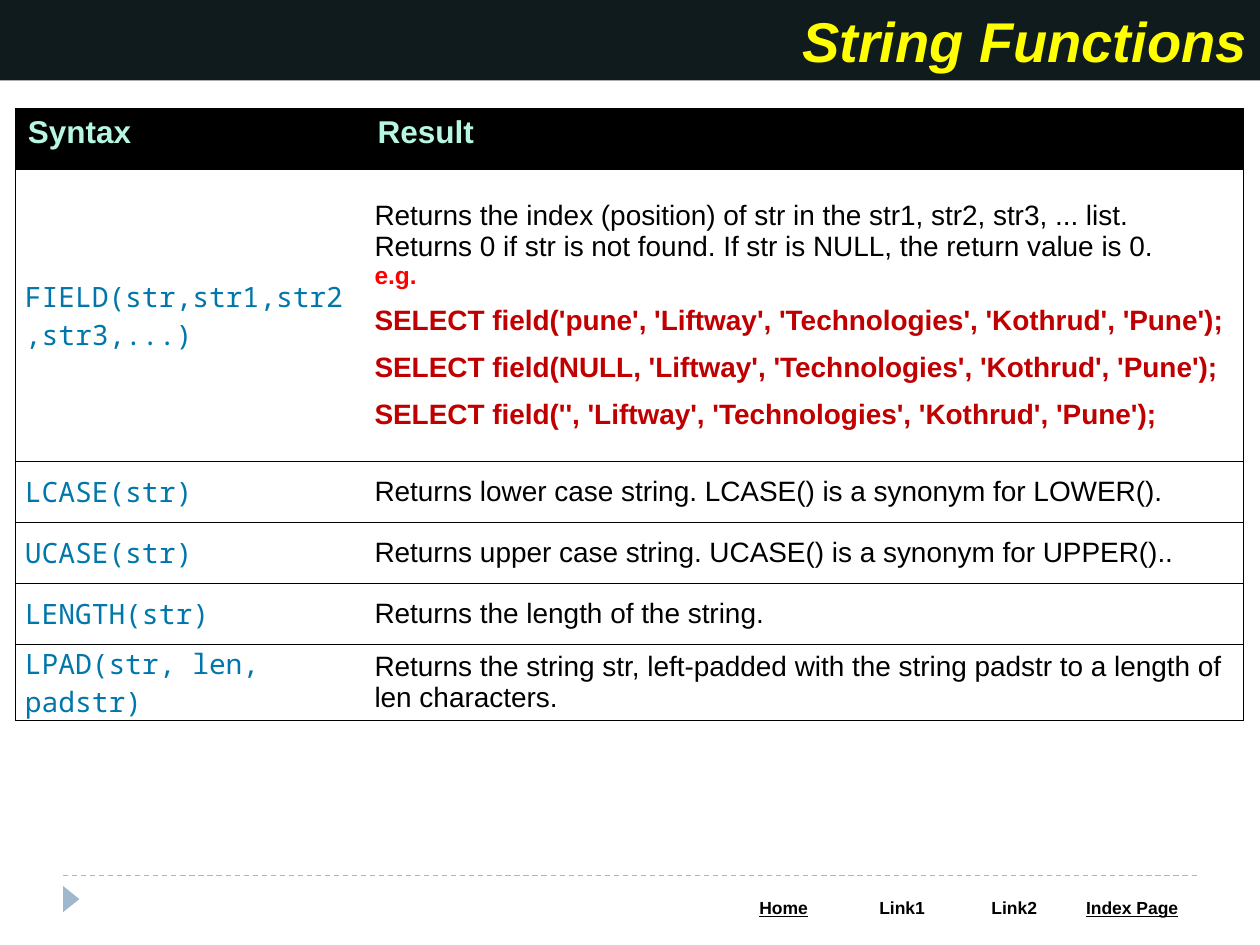
from lxml import etree
from pptx import Presentation
from pptx.dml.color import RGBColor
from pptx.enum.dml import MSO_LINE_DASH_STYLE as Dash
from pptx.enum.shapes import MSO_CONNECTOR as Connector, MSO_SHAPE as Shape
from pptx.enum.text import MSO_ANCHOR as Anchor, PP_ALIGN as Align
from pptx.oxml.ns import qn
from pptx.util import Cm, Pt

BLACK = RGBColor(0x00, 0x00, 0x00)
WHITE = RGBColor(0xFF, 0xFF, 0xFF)
BANNER = RGBColor(0x10, 0x1B, 0x1D)
YELLOW = RGBColor(0xFF, 0xFF, 0x00)
MINT = RGBColor(0xB7, 0xF7, 0xE2)
CODE_BLUE = RGBColor(0x00, 0x77, 0xAA)
RED = RGBColor(0xFF, 0x00, 0x00)
DARK_RED = RGBColor(0xC0, 0x00, 0x00)
STEEL = RGBColor(0x9F, 0xB8, 0xCD)

SANS, MONO = "Arial", "Noto Sans Mono"

HEADINGS = ["Syntax", "Result"]
FIELD_QUERIES = [
    f"SELECT field({needle}, 'Liftway', 'Technologies', 'Kothrud', 'Pune');"
    for needle in ("'pune'", "NULL", "''")
]
# syntax, result, row height in cm
FUNCTIONS = [
    ("FIELD(str,str1,str2,str3,...)",
     "Returns the index (position) of str in the str1, str2, str3, ... list. "
     "Returns 0 if str is not found. If str is NULL, the return value is 0.", 5.89),
    ("LCASE(str)", "Returns lower case string. LCASE() is a synonym for LOWER().", 1.23),
    ("UCASE(str)", "Returns upper case string. UCASE() is a synonym for UPPER()..", 1.23),
    ("LENGTH(str)", "Returns the length of the string.", 1.23),
    ("LPAD(str, len, padstr)",
     "Returns the string str, left-padded with the string padstr "
     "to a length of len characters.", 1.54),
]
HEADER_HEIGHT = 1.23
# label, underlined, column width in cm
LINKS = [("Home", True, 2.39), ("Link1", False, 2.39),
         ("Link2", False, 2.13), ("Index Page", True, 2.62)]


def write(para, text, size, color, font=SANS, bold=False, italic=False, underline=False):
    span = para.add_run()
    span.text = text
    style = span.font
    style.name, style.size = font, Pt(size)
    style.bold, style.italic, style.underline = bold, italic, underline
    style.color.rgb = color


def set_borders(cell, sides):
    """Draw a black line on the named sides (L, R, T, B) and none on the others."""
    props = cell._tc.get_or_add_tcPr()
    for index, side in enumerate("LRTB"):
        line = etree.Element(qn(f"a:ln{side}"), w=str(Pt(0.75)))
        if side in sides:
            fill = etree.SubElement(line, qn("a:solidFill"))
            etree.SubElement(fill, qn("a:srgbClr"), val=str(BLACK))
        else:
            etree.SubElement(line, qn("a:noFill"))
        props.insert(index, line)


def add_plain_table(page, left, top, widths, heights):
    """Add a table without banding; widths and heights are in cm."""
    frame = page.shapes.add_table(len(heights), len(widths), Cm(left), Cm(top),
                                  Cm(sum(widths)), Cm(sum(heights)))
    table = frame.table
    table.first_row = table.horz_banding = False
    for column, width in zip(table.columns, widths):
        column.width = Cm(width)
    for row, height in zip(table.rows, heights):
        row.height = Cm(height)
    return table


def fill_cell(cell, color):
    cell.fill.solid()
    cell.fill.fore_color.rgb = color


def add_block(page, kind, left, top, width, height, color):
    box = page.shapes.add_shape(kind, Cm(left), Cm(top), Cm(width), Cm(height))
    box.shadow.inherit = False
    box.fill.solid()
    box.fill.fore_color.rgb = color
    box.line.fill.background()
    return box


def add_title(page):
    box = add_block(page, Shape.RECTANGLE, 0, 0, 25.4, 1.62, BANNER)
    frame = box.text_frame
    frame.word_wrap = True
    frame.vertical_anchor = Anchor.MIDDLE
    para = frame.paragraphs[0]
    para.alignment = Align.RIGHT
    write(para, "String Functions", 32, YELLOW, bold=True, italic=True)


def add_function_table(page):
    heights = [HEADER_HEIGHT] + [height for *_, height in FUNCTIONS]
    table = add_plain_table(page, 0.31, 2.18, [7.05, 17.71], heights)
    for column, heading in enumerate(HEADINGS):
        cell = table.cell(0, column)
        fill_cell(cell, BLACK)
        write(cell.text_frame.paragraphs[0], heading, 18, MINT, bold=True)
    for row, (syntax, result, _) in enumerate(FUNCTIONS, 1):
        cells = table.cell(row, 0), table.cell(row, 1)
        for cell in cells:
            cell.fill.background()
            cell.vertical_anchor = Anchor.MIDDLE
            cell.margin_left = cell.margin_right = Cm(0.19)
            cell.margin_top = cell.margin_bottom = 0
        write(cells[0].text_frame.paragraphs[0], syntax, 16, CODE_BLUE, MONO)
        write(cells[1].text_frame.paragraphs[0], result, 16, BLACK)
    for row in range(len(heights)):
        set_borders(table.cell(row, 0), "LTB")
        set_borders(table.cell(row, 1), "RTB")
    add_field_example(table.cell(1, 1).text_frame)


def add_field_example(frame):
    write(frame.add_paragraph(), "e.g.", 14, RED, bold=True)
    for query in FIELD_QUERIES:
        para = frame.add_paragraph()
        para.line_spacing = 1.5
        write(para, query, 16, DARK_RED, bold=True)


def add_footer(page):
    marker = add_block(page, Shape.ISOSCELES_TRIANGLE, 1.17, 17.96, 0.53, 0.33, STEEL)
    marker.rotation = 90
    rule = page.shapes.add_connector(Connector.STRAIGHT, Cm(1.27), Cm(17.65),
                                     Cm(24.13), Cm(17.65))
    rule.line.color.rgb = STEEL
    rule.line.width = Pt(0.75)
    rule.line.dash_style = Dash.DASH
    etree.SubElement(rule._element.spPr, qn("a:effectLst"))

    table = add_plain_table(page, 14.6, 18, [width for *_, width in LINKS], [0.69])
    for column, (label, underlined, _) in enumerate(LINKS):
        cell = table.cell(0, column)
        fill_cell(cell, WHITE)
        para = cell.text_frame.paragraphs[0]
        para.alignment = Align.CENTER
        write(para, label, 10, BLACK, bold=True, underline=underlined)


def main():
    deck = Presentation()
    deck.slide_width, deck.slide_height = Cm(25.4), Cm(19.05)
    page = deck.slides.add_slide(deck.slide_layouts[6])
    add_footer(page)
    add_function_table(page)
    add_title(page)
    deck.save("out.pptx")


if __name__ == "__main__":
    main()
